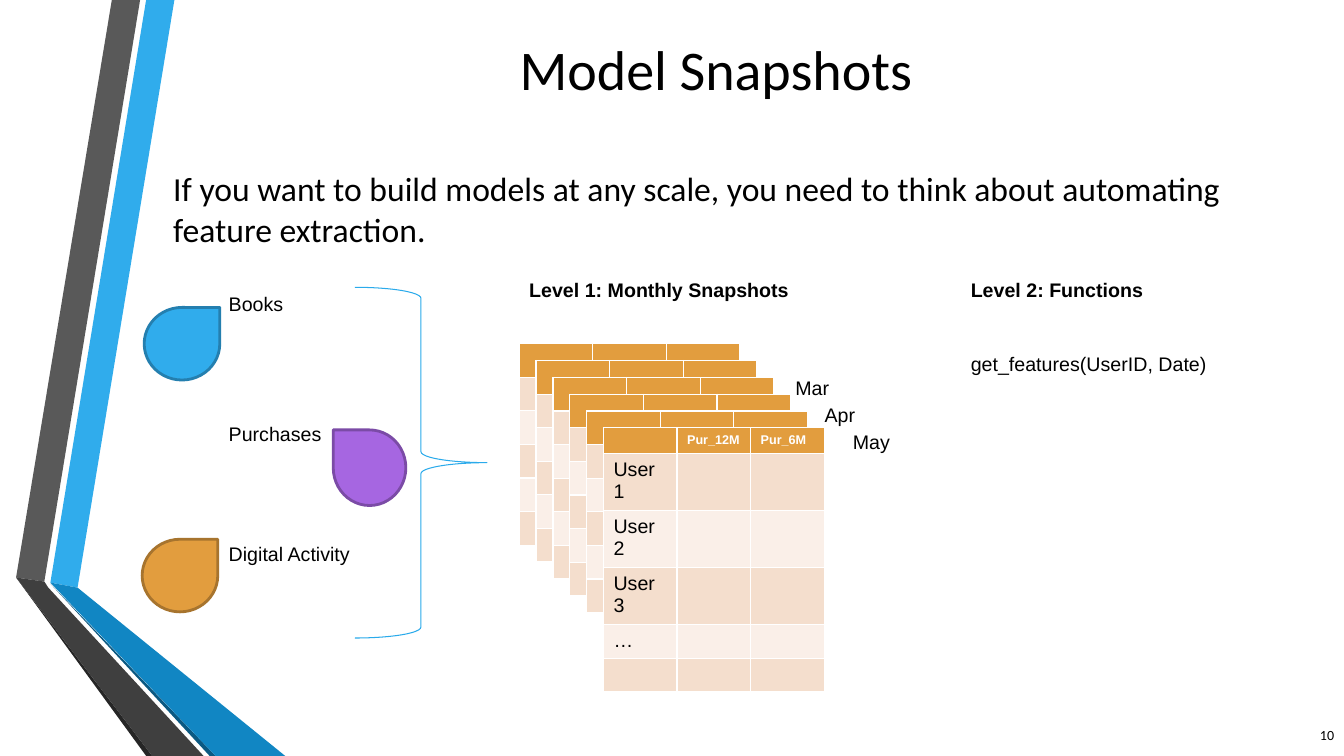
from pptx import Presentation
from pptx.dml.color import RGBColor
from pptx.enum.shapes import MSO_SHAPE
from pptx.enum.text import MSO_ANCHOR, MSO_AUTO_SIZE, PP_ALIGN
from pptx.util import Inches, Pt

theme = {
    "ink": "000000", "white": "FFFFFF", "blue": "30ACEC", "violet": "A666E1",
    "orange": "E29D3E", "brace": "2AAAEB", "bands": ("FAEFE8", "F4DECD"),
    "title": 40, "body": 24, "label": 14, "head": 9, "page": 10,
    "sans": "Arial", "main": "Calibri",
}

deck = Presentation()
deck.slide_width, deck.slide_height = Inches(13.33), Inches(7.5)
slide = deck.slides.add_slide(deck.slide_layouts[6])
shapes = slide.shapes
cell = Inches(0.1)  # one grid square; all lengths below count squares


def grid(*nums):
    return [round(n * cell) for n in nums]


def write(frame, text, size, face=theme["sans"], color=theme["ink"], bold=False):
    para = frame.paragraphs[0]
    para.text = text
    font = para.font
    font.size, font.name, font.bold = Pt(size), face, bold
    font.color.rgb = RGBColor.from_string(color)
    return para


# Ribbons on the left edge
ribbons = [
    ("30ACEC", [(5, 57.8), (7.7, 58.3), (17.3, 0), (14.5, 0)]),
    ("595959", [(13.9, 0), (11.1, 0), (1.6, 57.3), (4.4, 57.7)]),
    ("262626", [(1.6, 57.3), (14.5, 75), (15.1, 75)]),
    ("0B5982", [(5, 57.9), (20.8, 75), (21.4, 75)]),
    ("1186C3", [(5, 57.8), (21.4, 75), (28.3, 75), (7.7, 58.3)]),
    ("3F3F3F", [(20.2, 75), (4.8, 58.3), (4.4, 57.7), (1.6, 57.3), (15.1, 75)]),
]
for color, spots in ribbons:
    start, *rest = [grid(*spot) for spot in spots]
    path = shapes.build_freeform(*start)
    path.add_line_segments(rest)
    band = path.convert_to_shape()
    band.shadow.inherit = False
    band.fill.solid()
    band.fill.fore_color.rgb = RGBColor.from_string(color)
    band.line.fill.background()

# Title, statement and page number
intro = "If you want to build models at any scale, you need to think about automating feature extraction."
blocks = [
    ("Model Snapshots", (16.2, 3.2, 109.6, 7.2), "title", PP_ALIGN.CENTER, MSO_ANCHOR.MIDDLE, 1),
    (intro, (16.2, 15.7, 109.6, 47.6), "body", PP_ALIGN.LEFT, MSO_ANCHOR.TOP, 1),
    ("10", (127.3, 70.9, 6, 4), "page", PP_ALIGN.RIGHT, MSO_ANCHOR.MIDDLE, 0.5),
]
for text, box, role, align, anchor, inset in blocks:
    frame = shapes.add_textbox(*grid(*box)).text_frame
    frame.word_wrap = True
    frame.vertical_anchor = anchor
    frame.margin_top = frame.margin_bottom = round(inset * cell)
    para = write(frame, text, theme[role], theme["main"])
    para.alignment = align
    if role == "body":
        para.space_before = Pt(4.8)

# Data sources
drops = [
    (14.3, 30.5, 0, "blue", "247FAF"),
    (32.9, 42.8, 270, "violet", "7B4BA6"),
    (14.1, 53.5, 0, "orange", "A7742E"),
]
for left, top, turn, color, edge in drops:
    drop = shapes.add_shape(MSO_SHAPE.TEAR, *grid(left, top, 7.5, 7.2))
    drop.shadow.inherit = False
    drop.rotation = turn
    drop.fill.solid()
    drop.fill.fore_color.rgb = RGBColor.from_string(theme[color])
    drop.line.color.rgb = RGBColor.from_string(edge)
    drop.line.width = Pt(2)

brace = shapes.add_shape(MSO_SHAPE.RIGHT_BRACE, *grid(35.2, 28.5, 13.1, 34.8))
brace.shadow.inherit = False
brace.fill.background()
brace.line.color.rgb = RGBColor.from_string(theme["brace"])
brace.line.width = Pt(0.75)

# Stack of monthly tables, the front one filled in
rows, cols, months = 6, 3, 6
words = {(0, 1): "Pur_12M", (0, 2): "Pur_6M", (1, 0): "User 1",
         (2, 0): "User 2", (3, 0): "User 3", (4, 0): "…"}
for month in range(months):
    front = month == months - 1
    shift = month * 1.67
    high = 19.2 if front else 20
    table = shapes.add_table(rows, cols, *grid(51.5 + shift, 34.1 + shift, 21.9, high)).table
    if front:
        table.rows[0].height = round(2.5 * cell)
        for row in range(1, rows):
            table.rows[row].height = round((high - 2.5) / (rows - 1) * cell)
    for row in range(rows):
        for col in range(cols):
            slot = table.cell(row, col)
            head = row == 0
            text = words.get((row, col), "") if front else ""
            slot.fill.solid()
            slot.fill.fore_color.rgb = RGBColor.from_string(
                theme["orange"] if head else theme["bands"][row % 2])
            if not text:
                slot.margin_top = slot.margin_bottom = 0
            write(slot.text_frame, text, theme["head" if head and front else "label"],
                  color=theme["white" if head else "ink"], bold=head)

# Labels
labels = [
    ("Books", 21.7, 28.5, 7.5, False),
    ("Purchases", 21.7, 41.4, 11.3, False),
    ("Digital Activity", 21.7, 53.3, 14.2, False),
    ("May", 83.6, 42.2, 5.7, False),
    ("Apr", 80.8, 39.5, 5.1, False),
    ("Mar", 77.9, 36.8, 5.4, False),
    ("Level 1: Monthly Snapshots", 51.5, 27.1, 27.9, True),
    ("Level 2: Functions", 95.3, 27.1, 19.2, True),
    ("get_features(UserID, Date)", 95.3, 34.4, 25.5, False),
]
for text, left, top, wide, bold in labels:
    frame = shapes.add_textbox(*grid(left, top, wide, 3.4)).text_frame
    frame.word_wrap = False
    frame.auto_size = MSO_AUTO_SIZE.SHAPE_TO_FIT_TEXT
    write(frame, text, theme["label"], bold=bold)

deck.save("out.pptx")
